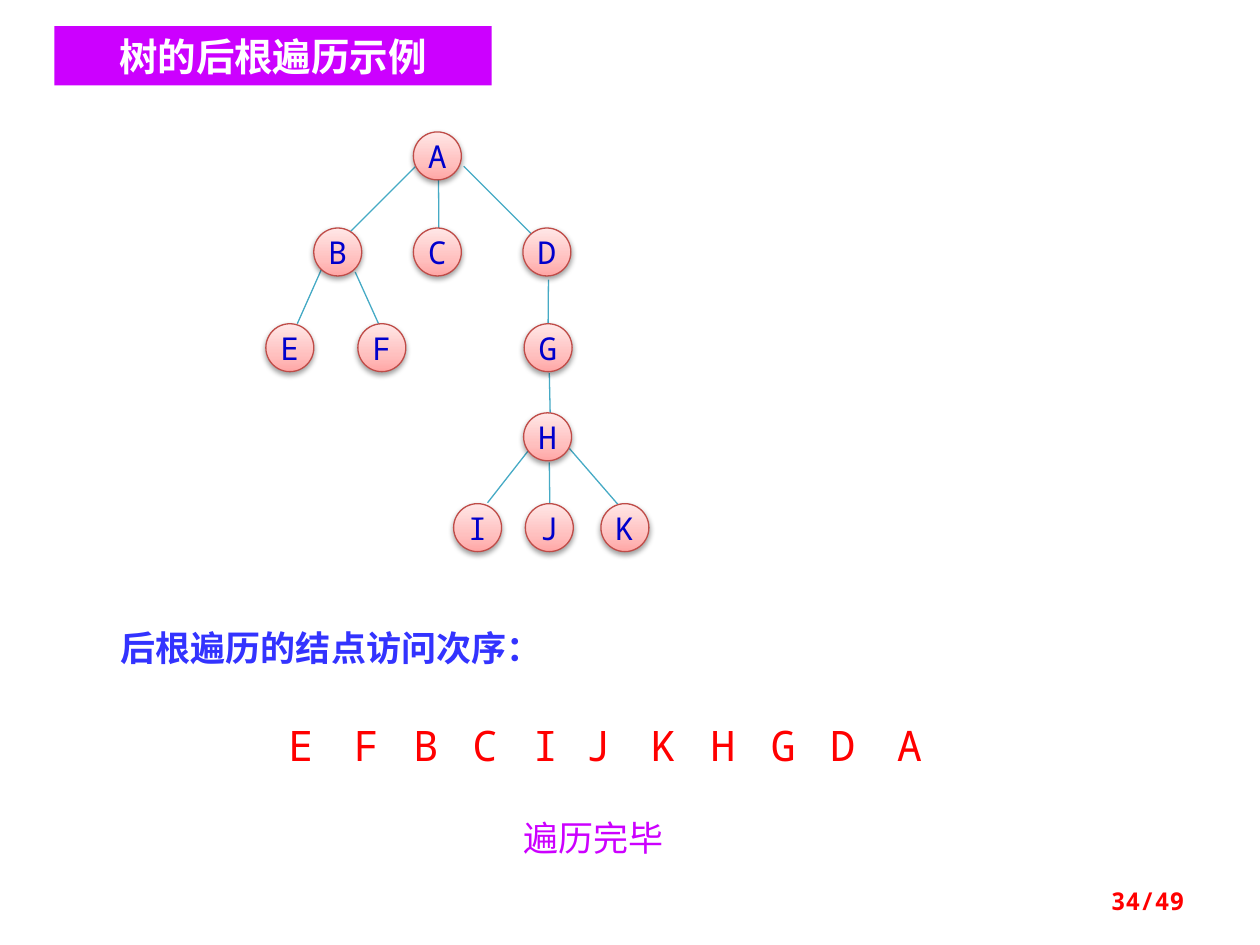
from copy import deepcopy
from typing import NamedTuple

from lxml import etree
from pptx import Presentation
from pptx import util as u
from pptx.dml import color
from pptx.enum import shapes, text
from pptx.oxml import ns

Pt = u.Pt
RGB = color.RGBColor
PURPLE = RGB(0xCC, 0x00, 0xFF)
WHITE = RGB(0xFF, 0xFF, 0xFF)
RED = RGB(0xFF, 0x00, 0x00)
BLUE = RGB(0x33, 0x33, 0xFF)
NAVY = RGB(0x00, 0x00, 0xCC)
TEAL = RGB(0x46, 0xAA, 0xC5)
PINK_EDGE = RGB(0xBF, 0x4C, 0x48)
PINKS = (RGB(0xFF, 0xA6, 0xA5), RGB(0xFF, 0xC0, 0xBF), RGB(0xFF, 0xE7, 0xE7))
STOP_POSITIONS = (0, 0.35, 1)

MONO = "Noto Sans Mono"
CJK = "Noto Sans CJK SC"
LEFT, CENTER, RIGHT = text.PP_ALIGN.LEFT, text.PP_ALIGN.CENTER, text.PP_ALIGN.RIGHT
TOP, MIDDLE = text.MSO_ANCHOR.TOP, text.MSO_ANCHOR.MIDDLE
NODE_SIZE = 27.4
LEVELS = (75.4, 130.3, 185, 235.9, 287.8)
VISIT_TOP = 407.5


class Node(NamedTuple):
    name: str
    left: float
    level: int
    visit_left: float


class Edge(NamedTuple):
    x1: float
    y1: float
    x2: float
    y2: float


class Style(NamedTuple):
    size: float
    color: RGB
    bold: bool = False
    align: text.PP_ALIGN = LEFT
    anchor: text.MSO_ANCHOR = TOP
    wrap: bool = True
    font: str = MONO


class Label(NamedTuple):
    words: str
    left: float
    top: float
    width: float
    height: float
    style: Style


NODES = (
    Node("A", 236.2, 0, 505.4),
    Node("B", 179.3, 1, 229),
    Node("C", 236.2, 1, 262.8),
    Node("D", 298.8, 1, 467.3),
    Node("E", 151.9, 2, 157.7),
    Node("F", 204.5, 2, 195.1),
    Node("G", 299.5, 2, 433.4),
    Node("H", 299.2, 3, 398.9),
    Node("I", 259.2, 4, 297.4),
    Node("J", 300.2, 4, 327.6),
    Node("K", 343.4, 4, 365),
)
EDGES = (
    Edge(237.6, 95, 199.4, 133.2),
    Edge(250.6, 103, 250.8, 131.8),
    Edge(265, 95, 304.6, 134.6),
    Edge(183.6, 154.1, 169.9, 185),
    Edge(203, 155.5, 216.7, 185.8),
    Edge(313.4, 159.8, 313.2, 185.8),
    Edge(313.9, 213.1, 314.4, 236.2),
    Edge(301.7, 257.8, 278.6, 287.3),
    Edge(313.9, 264.2, 314.2, 288.7),
    Edge(325.4, 256.3, 353.5, 288.7),
)
TITLE = Label("树的后根遍历示例", 31, 15, 250, 33.8,
              Style(22, WHITE, True, CENTER, MIDDLE, font=CJK))
NODE_STYLE = Style(18, NAVY, align=CENTER, anchor=MIDDLE, wrap=False)
VISIT_STYLE = Style(24, RED, wrap=False)
LABELS = (
    Label("后根遍历的结点访问次序：", 61.9, 354.2, 321.1, 31.7,
          Style(20, BLUE, True)),
    Label("遍历完毕", 259.9, 463, 158.4, 31.7, Style(20, PURPLE, align=CENTER)),
    Label("34/49", 516.2, 500.4, 167.8, 28.8,
          Style(14, RED, True, RIGHT, MIDDLE)),
)


def write(box, words: str, style: Style) -> None:
    frame = box.text_frame
    frame.word_wrap = style.wrap
    frame.auto_size = text.MSO_AUTO_SIZE.NONE
    frame.vertical_anchor = style.anchor
    para = frame.paragraphs[0]
    para.alignment = style.align
    span = para.add_run()
    span.text = words
    span.font.size = Pt(style.size)
    span.font.bold = style.bold
    span.font.name = style.font
    span.font.color.rgb = style.color
    etree.SubElement(span.font._element, ns.qn("a:ea"), typeface=CJK)


def draw_title(page, label: Label) -> None:
    box = page.shapes.title
    box.left, box.top = Pt(label.left), Pt(label.top)
    box.width, box.height = Pt(label.width), Pt(label.height)
    box.fill.solid()
    box.fill.fore_color.rgb = PURPLE
    write(box, label.words, label.style)


def draw_label(page, label: Label) -> None:
    box = page.shapes.add_textbox(Pt(label.left), Pt(label.top),
                                  Pt(label.width), Pt(label.height))
    write(box, label.words, label.style)


def draw_edge(page, edge: Edge) -> None:
    line = page.shapes.add_connector(shapes.MSO_CONNECTOR.STRAIGHT,
                                     *(Pt(value) for value in edge))
    line.line.color.rgb = TEAL
    line.line.width = Pt(0.75)
    etree.SubElement(line._element.spPr, ns.qn("a:effectLst"))


def add_shadow(shape) -> None:
    shape.shadow.inherit = False
    effects = shape._element.spPr.find(ns.qn("a:effectLst"))
    shadow = etree.SubElement(effects, ns.qn("a:outerShdw"), blurRad="40000",
                              dist="20000", dir="5400000", rotWithShape="0")
    black = etree.SubElement(shadow, ns.qn("a:srgbClr"), val="000000")
    etree.SubElement(black, ns.qn("a:alpha"), val="38000")


def fill_gradient(shape, colors: tuple) -> None:
    shape.fill.gradient()
    shape.fill.gradient_angle = 90
    stop_list = shape._element.spPr.find(".//" + ns.qn("a:gsLst"))
    stop_list.append(deepcopy(stop_list[-1]))
    for stop, position, rgb in zip(shape.fill.gradient_stops, STOP_POSITIONS, colors):
        stop.position = position
        stop.color.rgb = rgb


def draw_node(page, node: Node) -> None:
    circle = page.shapes.add_shape(
        shapes.MSO_SHAPE.OVAL, Pt(node.left), Pt(LEVELS[node.level]),
        Pt(NODE_SIZE), Pt(NODE_SIZE))
    fill_gradient(circle, PINKS)
    circle.line.color.rgb = PINK_EDGE
    circle.line.width = Pt(0.75)
    add_shadow(circle)
    write(circle, node.name, NODE_STYLE)


def main() -> None:
    deck = Presentation()
    deck.slide_width, deck.slide_height = Pt(720), Pt(540)
    page = deck.slides.add_slide(deck.slide_layouts[5])
    draw_title(page, TITLE)
    for edge in EDGES:
        draw_edge(page, edge)
    for node in NODES:
        draw_node(page, node)
    for node in sorted(NODES, key=lambda item: item.visit_left):
        draw_label(page, Label(node.name, node.visit_left, VISIT_TOP, 28.1, 36.7,
                               VISIT_STYLE))
    for label in LABELS:
        draw_label(page, label)
    deck.save("out.pptx")


if __name__ == "__main__":
    main()
